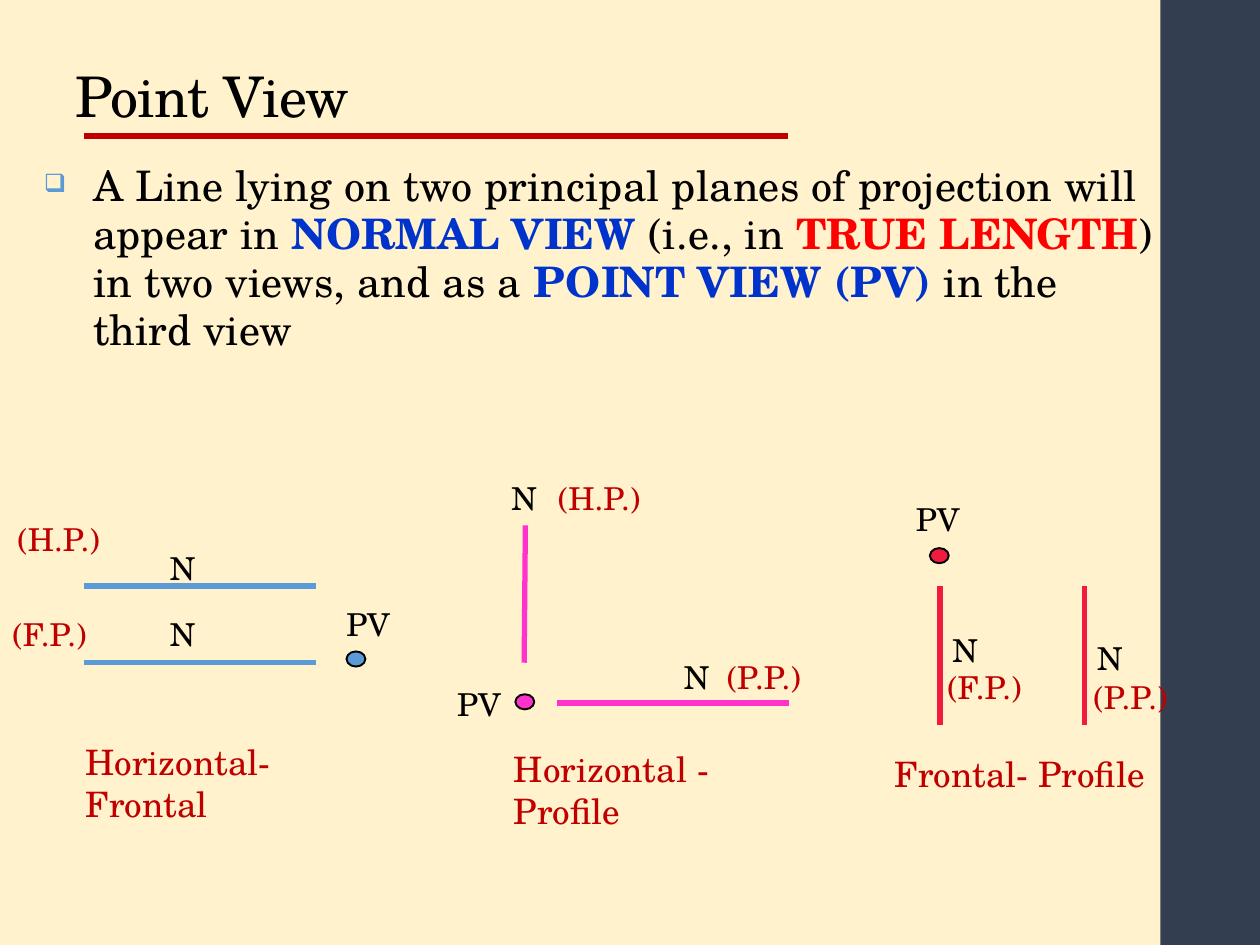
"""Build the "Point View" slide: three diagrams of lines lying on two principal planes."""
from lxml.etree import SubElement
from pptx import Presentation
from pptx.dml.color import RGBColor
from pptx.enum.shapes import MSO_CONNECTOR, MSO_SHAPE
from pptx.enum.text import MSO_ANCHOR, MSO_AUTO_SIZE
from pptx.oxml.ns import qn
from pptx.util import Inches, Pt

FONT = "TeX Gyre Schola"
BLACK, DARK_RED, RED, BLUE = "000000", "C00000", "FF0000", "0033CC"
BACKGROUND, SIDEBAR, BULLET = "FFF2CC", "333F50", "5B9BD5"
DOT_SIZE = (0.15, 0.12)

TITLE = "Point View"
STATEMENT = [
    ("A Line lying on two principal planes of projection will appear in ", BLACK),
    ("NORMAL VIEW ", BLUE),
    ("(i.e., in ", BLACK),
    ("TRUE LENGTH", RED),
    (") in two views, and as a ", BLACK),
    ("POINT VIEW (PV)", BLUE),
    (" in the third view", BLACK),
]

DIAGRAMS = [
    {
        "color": "5B9BD5",
        "views": [(0.67, 4.65, 2.51, 4.65), (0.67, 5.26, 2.51, 5.26)],
        "point": (2.75, 5.17),
        "labels": [("N", 1.25, 4.31), ("N", 1.25, 4.83), ("PV", 2.65, 4.75)],
        "planes": [("(H.P.)", 0.04, 4.08), ("(F.P.)", 0, 4.83)],
        "caption": ("Horizontal-Frontal", 0.58, 5.83),
    },
    {
        "color": "FF33CC",
        "views": [(4.42, 5.58, 6.26, 5.58), (4.17, 4.17, 4.16, 5.26)],
        "point": (4.09, 5.51),
        "labels": [("N", 3.96, 3.75), ("N", 5.33, 5.17), ("PV", 3.53, 5.39)],
        "planes": [("(H.P.)", 4.33, 3.75), ("(P.P.)", 5.67, 5.17)],
        "caption": ("Horizontal - Profile", 3.98, 5.88),
    },
    {
        "color": "F11B3F",
        "views": [(8.61, 4.65, 8.61, 5.75), (7.46, 4.65, 7.46, 5.75)],
        "point": (7.38, 4.35),
        "labels": [("N", 8.61, 5.02), ("N", 7.46, 4.96), ("PV", 7.17, 3.92)],
        "planes": [("(F.P.)", 7.42, 5.25), ("(P.P.)", 8.58, 5.33)],
        "caption": ("Frontal- Profile", 7, 5.92),
    },
]


def rgb(code):
    return RGBColor.from_string(code)


def add_line(slide, ends, color):
    line = slide.shapes.add_connector(MSO_CONNECTOR.STRAIGHT, *map(Inches, ends))
    line.line.color.rgb = rgb(color)
    line.line.width = Pt(3)
    SubElement(line._element.spPr, qn("a:effectLst"))


def add_filled(slide, preset, box, fill, outline=None):
    shape = slide.shapes.add_shape(preset, *map(Inches, box))
    shape.shadow.inherit = False
    shape.fill.solid()
    shape.fill.fore_color.rgb = rgb(fill)
    if outline:
        shape.line.color.rgb = rgb(outline)
        shape.line.width = Pt(1.1)
    else:
        shape.line.fill.background()


def add_text(slide, box, runs, size, wrap=True, grow=True, spacing=None):
    frame = slide.shapes.add_textbox(*map(Inches, box)).text_frame
    frame.word_wrap = wrap
    frame.auto_size = MSO_AUTO_SIZE.SHAPE_TO_FIT_TEXT if grow else MSO_AUTO_SIZE.NONE
    paragraph = frame.paragraphs[0]
    for text, color in runs:
        run = paragraph.add_run()
        run.text = text
        run.font.name = FONT
        run.font.size = Pt(size)
        run.font.color.rgb = rgb(color)
        run.font.bold = color in (BLUE, RED)
        if spacing:
            run.font._element.set("spc", str(spacing))
    return frame


def add_bullet(paragraph, indent):
    properties = paragraph._p.get_or_add_pPr()
    properties.set("marL", str(Inches(indent)))
    properties.set("indent", str(-Inches(indent)))
    color = SubElement(properties, qn("a:buClr"))
    SubElement(color, qn("a:srgbClr"), val=BULLET)
    SubElement(properties, qn("a:buSzPct"), val="60000")
    SubElement(properties, qn("a:buChar"), char="❑")


def add_diagram(slide, diagram):
    for ends in diagram["views"]:
        add_line(slide, ends, diagram["color"])
    add_filled(slide, MSO_SHAPE.FLOWCHART_CONNECTOR, diagram["point"] + DOT_SIZE,
               diagram["color"], BLACK)
    for text, left, top in diagram["labels"]:
        add_text(slide, (left, top, 0.67, 0.4), [(text, BLACK)], 18)
    for text, left, top in diagram["planes"]:
        add_text(slide, (left, top, 0.87, 0.4), [(text, DARK_RED)], 18, wrap=False)
    text, left, top = diagram["caption"]
    add_text(slide, (left, top, 2.45, 0.44), [(text, DARK_RED)], 20)


def main():
    deck = Presentation()
    deck.slide_width, deck.slide_height = Inches(10), Inches(7.5)
    slide = deck.slides.add_slide(deck.slide_layouts[6])
    slide.background.fill.solid()
    slide.background.fill.fore_color.rgb = rgb(BACKGROUND)

    add_filled(slide, MSO_SHAPE.RECTANGLE, (9.21, 0, 0.8, 7.5), SIDEBAR)
    add_line(slide, (0.67, 1.08, 6.25, 1.08), DARK_RED)

    title = add_text(slide, (0.5, 0.08, 7.95, 1), [(TITLE, BLACK)], 32,
                     grow=False, spacing=-50)
    title.vertical_anchor = MSO_ANCHOR.BOTTOM
    title.paragraphs[0].line_spacing = 0.9

    statement = add_text(slide, (0.25, 1.25, 9, 2.28), STATEMENT, 24,
                         grow=False, spacing=10).paragraphs[0]
    add_bullet(statement, 0.39)
    statement.line_spacing = 0.95
    statement.space_after = Pt(2)

    for diagram in DIAGRAMS:
        add_diagram(slide, diagram)
    deck.save("out.pptx")


if __name__ == "__main__":
    main()
